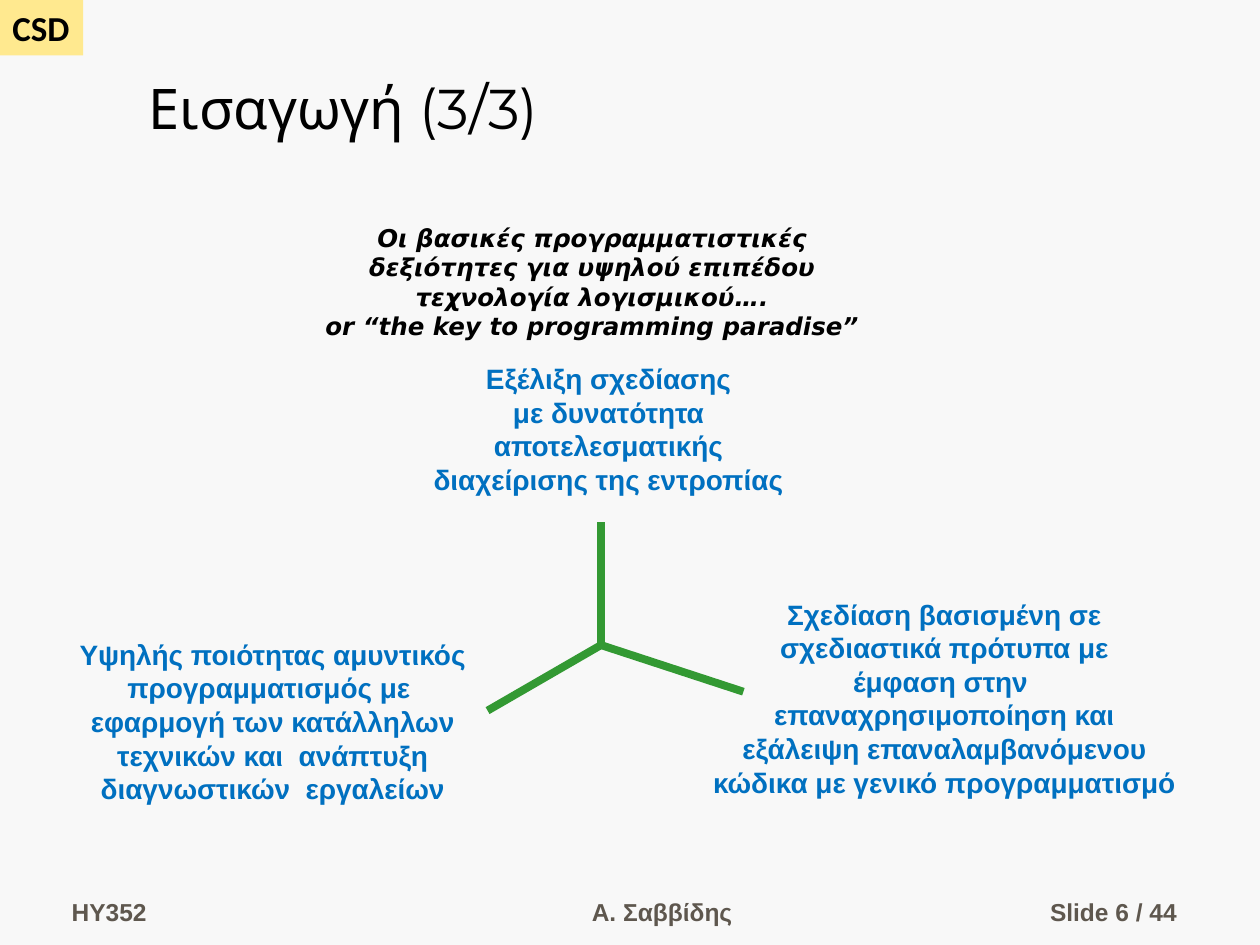
from dataclasses import dataclass

from lxml.etree import SubElement
from pptx import Presentation
from pptx.dml.color import RGBColor
from pptx.enum.shapes import MSO_CONNECTOR, MSO_SHAPE
from pptx.enum.text import MSO_ANCHOR, MSO_AUTO_SIZE, PP_ALIGN
from pptx.oxml.ns import qn
from pptx.slide import Slide
from pptx.text.text import TextFrame
from pptx.util import Inches, Pt

BLACK = "000000"
BLUE = "0070C0"
GREEN = "339933"
TAUPE = "5E574E"
HUB = (4.77, 5.12)
SPOKE_ENDS = [(4.77, 4.14), (3.87, 5.64), (5.9, 5.49)]


@dataclass(frozen=True)
class Style:
    font: str
    size: float
    color: str
    bold: bool = True
    italic: bool = False


@dataclass(frozen=True)
class TextBlock:
    box: tuple[float, float, float, float]
    lines: tuple[str, ...]
    style: Style
    align: PP_ALIGN = PP_ALIGN.CENTER
    anchor: MSO_ANCHOR = MSO_ANCHOR.TOP
    wrap: bool = True


SKILL = Style("Arial", 16, BLUE)
FOOTER = Style("Arial", 14, TAUPE)
MOTTO = Style("DejaVu Sans", 14, BLACK, italic=True)
TITLE = Style("Montserrat", 32, BLACK, bold=False)
BADGE = Style("Calibri", 20, BLACK)

BLOCKS = [
    TextBlock((0.47, 6.9, 2.19, 0.5), ("HY352",), FOOTER, PP_ALIGN.LEFT, MSO_ANCHOR.BOTTOM),
    TextBlock((3.67, 6.9, 3.17, 0.5), ("Α. Σαββίδης",), FOOTER, anchor=MSO_ANCHOR.BOTTOM),
    TextBlock((7.36, 6.9, 2.08, 0.5), ("Slide 6 / 44",), FOOTER, PP_ALIGN.RIGHT, MSO_ANCHOR.BOTTOM),
    TextBlock((0.15, 5.01, 4.03, 1.44), (
        "Υψηλής ποιότητας αμυντικός",
        "προγραμματισμός με ",
        "εφαρμογή των κατάλληλων τεχνικών και  ανάπτυξη διαγνωστικών  εργαλείων",
    ), SKILL),
    TextBlock((3.16, 2.82, 3.34, 1.17), (
        "Εξέλιξη σχεδίασης",
        "με δυνατότητα αποτελεσματικής",
        "διαχείρισης της εντροπίας",
    ), SKILL),
    TextBlock((5.54, 4.69, 3.91, 1.7), (
        "Σχεδίαση βασισμένη σε",
        "σχεδιαστικά πρότυπα με",
        "έμφαση στην ",
        "επαναχρησιμοποίηση και",
        "εξάλειψη επαναλαμβανόμενου",
        "κώδικα με γενικό προγραμματισμό",
    ), SKILL, wrap=False),
    TextBlock((1.64, 1.72, 6.12, 1.03), (
        "Οι βασικές προγραμματιστικές",
        "δεξιότητες για υψηλού επιπέδου",
        "τεχνολογία λογισμικού….",
        "or “the key to programming paradise”",
    ), MOTTO),
]


def rgb(color: str) -> RGBColor:
    return RGBColor.from_string(color)


def fill_text(frame: TextFrame, block: TextBlock) -> None:
    frame.text = "\n".join(block.lines)
    frame.auto_size = MSO_AUTO_SIZE.NONE
    frame.word_wrap = block.wrap
    frame.vertical_anchor = block.anchor
    style = block.style
    for paragraph in frame.paragraphs:
        paragraph.alignment = block.align
        for run in paragraph.runs:
            run.font.name = style.font
            run.font.size = Pt(style.size)
            run.font.bold = style.bold
            run.font.italic = style.italic
            run.font.color.rgb = rgb(style.color)


def add_badge(slide: Slide) -> None:
    block = TextBlock((0, 0, 0.66, 0.44), ("CSD",), BADGE, PP_ALIGN.LEFT, wrap=False)
    badge = slide.shapes.add_shape(MSO_SHAPE.RECTANGLE, *map(Inches, block.box))
    badge.shadow.inherit = False
    badge.fill.solid()
    badge.fill.fore_color.rgb = rgb("FFE98F")
    badge.line.fill.background()
    fill_text(badge.text_frame, block)


def set_title(slide: Slide) -> None:
    block = TextBlock((1.08, 0.17, 8.92, 1), ("Εισαγωγή (3/3)",), TITLE, PP_ALIGN.LEFT, MSO_ANCHOR.BOTTOM)
    title = slide.shapes.title
    title.left, title.top, title.width, title.height = map(Inches, block.box)
    fill_text(title.text_frame, block)


def add_block(slide: Slide, block: TextBlock) -> None:
    textbox = slide.shapes.add_textbox(*map(Inches, block.box))
    fill_text(textbox.text_frame, block)


def add_spoke(slide: Slide, end: tuple[float, float]) -> None:
    spoke = slide.shapes.add_connector(MSO_CONNECTOR.STRAIGHT, *map(Inches, HUB + end))
    spoke.line.color.rgb = rgb(GREEN)
    spoke.line.width = Pt(4.5)
    SubElement(spoke._element.spPr, qn("a:effectLst"))


def main() -> None:
    deck = Presentation()
    deck.slide_width, deck.slide_height = Inches(10), Inches(7.5)
    slide = deck.slides.add_slide(deck.slide_layouts.get_by_name("Title Only"))
    slide.background.fill.solid()
    slide.background.fill.fore_color.rgb = rgb("F8F8F8")
    add_badge(slide)
    set_title(slide)
    for block in BLOCKS:
        add_block(slide, block)
    for end in SPOKE_ENDS:
        add_spoke(slide, end)
    deck.save("out.pptx")


if __name__ == "__main__":
    main()
